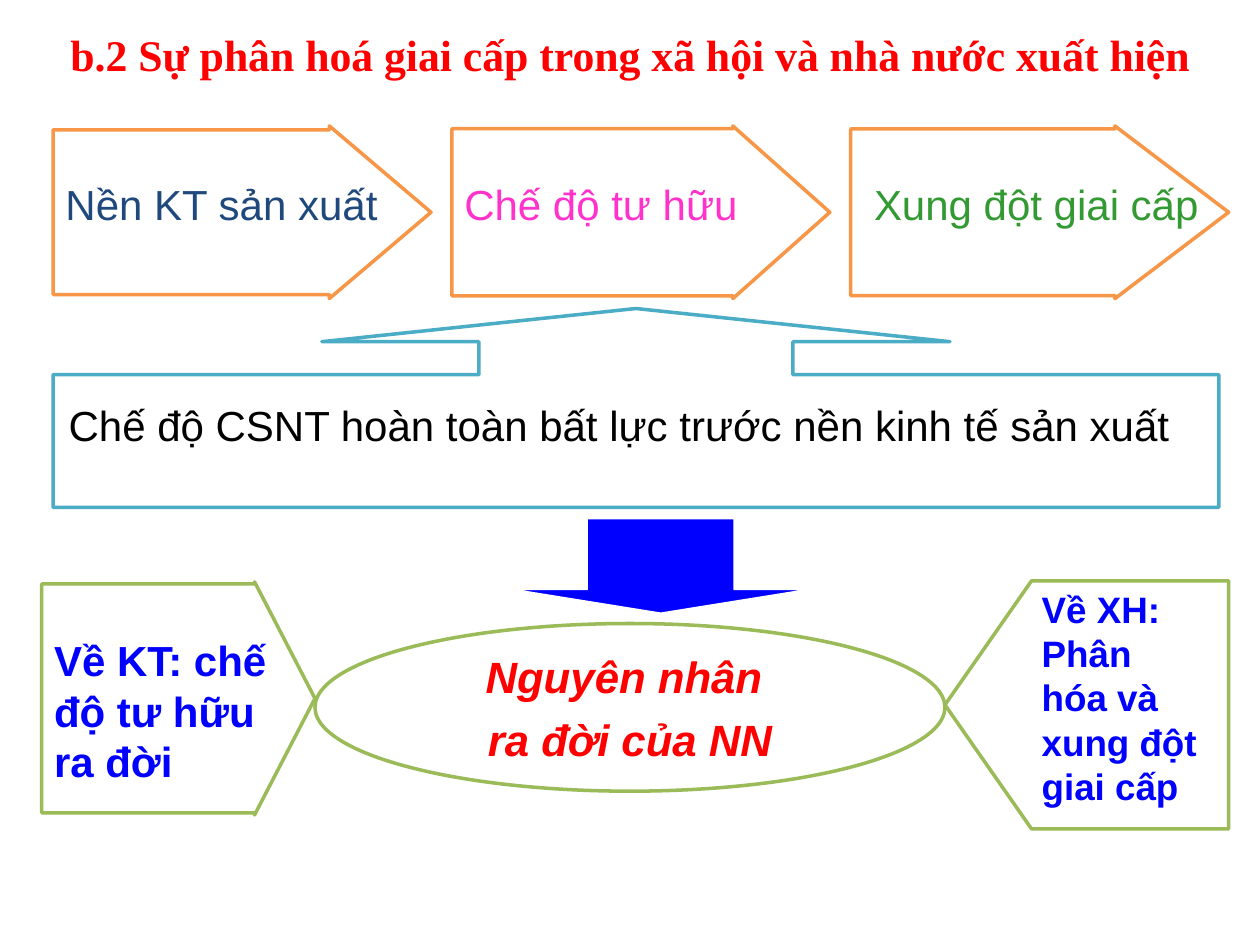
"""Build the slide on class division and the birth of the state."""
from dataclasses import dataclass
from typing import Optional

from pptx import Presentation
from pptx.dml.color import RGBColor as RGB
from pptx.enum.shapes import MSO_SHAPE as SHAPE
from pptx.enum.text import MSO_ANCHOR as ANCHOR, MSO_AUTO_SIZE as AUTO, PP_ALIGN as ALIGN
from pptx.util import Cm, Pt


@dataclass(frozen=True)
class Theme:
    """Colours, fonts and sizes."""
    white: str = "FFFFFF"
    black: str = "000000"
    orange: str = "F79646"
    teal: str = "4BACC6"
    olive: str = "9BBB59"
    navy: str = "1F497D"
    pink: str = "FF33CC"
    green: str = "339933"
    blue: str = "0000FF"
    red: str = "FF0000"
    sans: str = "Arial"
    serif: str = "Times New Roman"
    small: float = 21
    body: float = 24
    title: float = 25
    outline: float = 2
    hairline: float = 0.75


T = Theme()


@dataclass(frozen=True)
class Box:
    """Place and size in centimetres."""
    left: float
    top: float
    width: float
    height: float

    def lengths(self) -> tuple:
        """Return the four values as lengths."""
        return Cm(self.left), Cm(self.top), Cm(self.width), Cm(self.height)


@dataclass(frozen=True)
class Figure:
    """A preset shape with its outline and fill."""
    kind: SHAPE
    box: Box
    line: str
    adjust: tuple = ()
    fill: str = T.white
    weight: float = T.outline


@dataclass(frozen=True)
class Label:
    """A piece of text in one style."""
    text: str
    color: str
    box: Optional[Box] = None
    size: float = T.body
    font: str = T.sans
    bold: bool = False
    italic: bool = False
    align: ALIGN = ALIGN.LEFT


def write(tf, label: Label) -> None:
    """Write each line of the label as a paragraph."""
    for i, line in enumerate(label.text.split("\n")):
        p = tf.add_paragraph() if i else tf.paragraphs[0]
        p.alignment = label.align
        if i:
            p.space_before = Pt(6)
        r = p.add_run()
        r.text = line
        r.font.name = label.font
        r.font.size = Pt(label.size)
        r.font.bold = label.bold
        r.font.italic = label.italic
        r.font.color.rgb = RGB.from_string(label.color)


def draw_figure(s, figure: Figure):
    """Draw a preset shape and return it."""
    sp = s.shapes.add_shape(figure.kind, *figure.box.lengths())
    sp.shadow.inherit = False
    for i, value in enumerate(figure.adjust):
        sp.adjustments[i] = value
    sp.fill.solid()
    sp.fill.fore_color.rgb = RGB.from_string(figure.fill)
    sp.line.color.rgb = RGB.from_string(figure.line)
    sp.line.width = Pt(figure.weight)
    return sp


def draw_label(s, label: Label) -> None:
    """Draw a wrapping text box."""
    tf = s.shapes.add_textbox(*label.box.lengths()).text_frame
    tf.word_wrap = True
    tf.auto_size = AUTO.SHAPE_TO_FIT_TEXT
    write(tf, label)


STAGE_LEFT, STAGE_PITCH = 1.07, 8.04
STAGES = (
    ("Nền KT sản xuất", T.navy, 0, (0.953, 0.589)),
    ("Chế độ tư hữu", T.pink, 0, (0.968, 0.562)),
    ("Xung đột giai cấp", T.green, 0.22, (0.966, 0.659)),
)
CALLOUT = Figure(SHAPE.UP_ARROW_CALLOUT, Box(1.07, 6.22, 23.5, 4.01), T.teal,
                 (1.579, 1.579, 0.167, 0.667))
CAUSE = Figure(SHAPE.OVAL, Box(6.35, 12.57, 12.7, 3.38), T.olive)
CAUSE_LABEL = Label("Nguyên nhân \nra đời của NN", T.red, size=T.title,
                    bold=True, italic=True, align=ALIGN.CENTER)
FIGURES = (
    Figure(SHAPE.DOWN_ARROW, Box(10.36, 10.46, 5.92, 1.9), T.white,
           (0.5, 0.25), T.blue, T.hairline),
    Figure(SHAPE.RIGHT_ARROW, Box(0.84, 11.73, 5.51, 4.7), T.olive, (0.982, 0.259)),
    Figure(SHAPE.LEFT_ARROW, Box(19.05, 11.71, 5.72, 5), T.olive, (1, 0.349)),
)
LABELS = (
    Label("Chế độ CSNT hoàn toàn bất lực trước nền kinh tế sản xuất", T.black,
          Box(0.2, 7.92, 24.56, 1.27), align=ALIGN.CENTER),
    Label("Về KT: chế độ tư hữu ra đời", T.blue,
          Box(0.84, 12.67, 5.51, 3.33), bold=True),
    Label("Về XH: Phân hóa và xung đột giai cấp", T.blue,
          Box(20.75, 11.71, 3.81, 4.75), T.small, bold=True),
    Label("b.2 Sự phân hoá giai cấp trong xã hội và nhà nước xuất hiện", T.red,
          Box(1.17, 0.43, 23.16, 1.32), T.title, T.serif, bold=True),
)


def main() -> None:
    """Build and save the slide."""
    prs = Presentation()
    prs.slide_width, prs.slide_height = Cm(25.4), Cm(19.05)
    s = prs.slides.add_slide(prs.slide_layouts[6])
    for i, (text, color, indent, adjust) in enumerate(STAGES):
        left = STAGE_LEFT + i * STAGE_PITCH
        draw_figure(s, Figure(SHAPE.RIGHT_ARROW, Box(left, 2.54, 7.62, 3.48), T.orange, adjust))
        draw_label(s, Label(text, color, Box(left + indent, 3.48, 7.19, 1.27)))
    draw_figure(s, CALLOUT)
    tf = draw_figure(s, CAUSE).text_frame
    tf.word_wrap = False
    tf.vertical_anchor = ANCHOR.MIDDLE
    write(tf, CAUSE_LABEL)
    for figure in FIGURES:
        draw_figure(s, figure)
    for label in LABELS:
        draw_label(s, label)
    prs.save("out.pptx")


if __name__ == "__main__":
    main()
